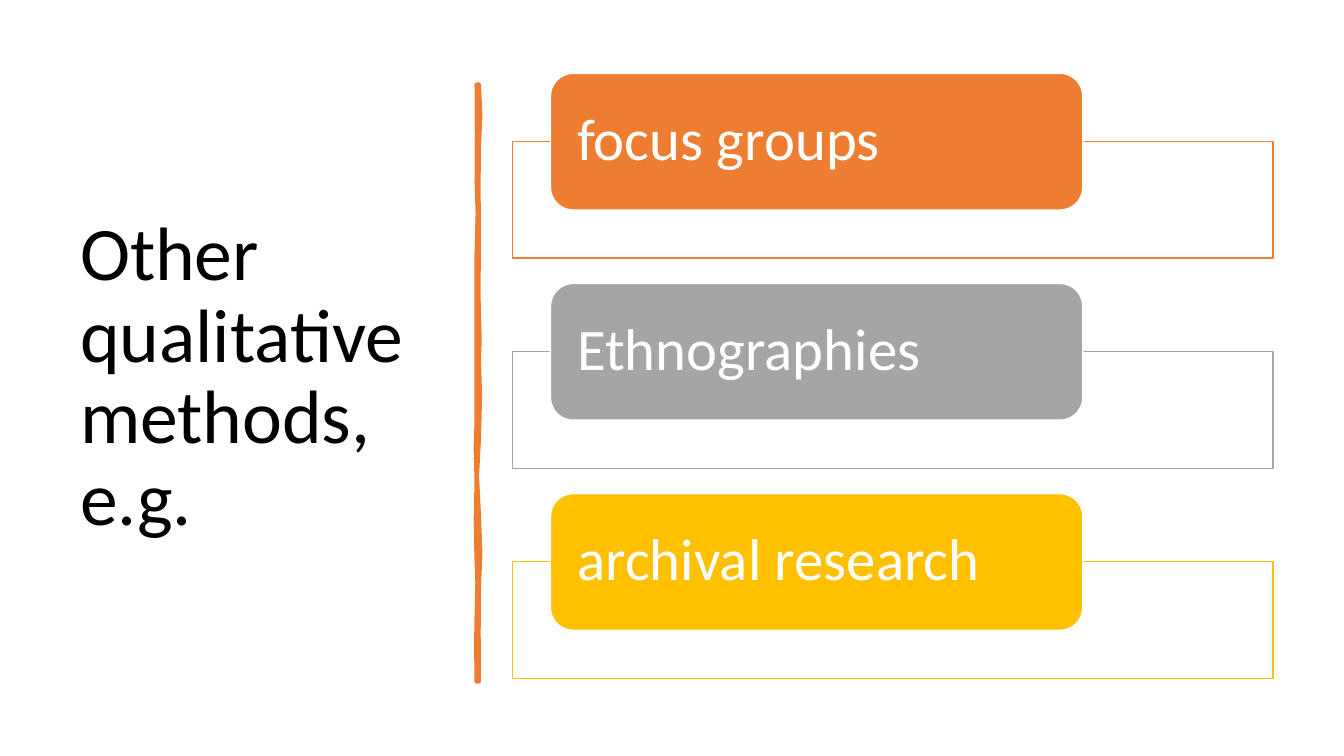
from dataclasses import dataclass

from lxml import etree
from pptx import Presentation
from pptx import util as u
from pptx.dml.color import RGBColor
from pptx.enum import shapes, text
from pptx.oxml import ns
from pptx.shapes.autoshape import Shape
from pptx.slide import Slide
from pptx.text.text import TextFrame

ORANGE = RGBColor(0xED, 0x7D, 0x31)
GRAY = RGBColor(0xA5, 0xA5, 0xA5)
GOLD = RGBColor(0xFF, 0xC0, 0x00)
WHITE = RGBColor(0xFF, 0xFF, 0xFF)
BLACK = RGBColor(0x00, 0x00, 0x00)

FONT = "Calibri"
FIRST_TAB_TOP = 52.4
ROW_PITCH = 150.1
FRAME_DROP = 48.5


@dataclass(frozen=True)
class Method:
    label: str
    color: RGBColor


@dataclass(frozen=True)
class Box:
    left: float
    top: float
    width: float
    height: float

    def lengths(self) -> tuple[u.Length, ...]:
        return u.Pt(self.left), u.Pt(self.top), u.Pt(self.width), u.Pt(self.height)


@dataclass(frozen=True)
class Point:
    x: float
    y: float

    def lengths(self) -> tuple[u.Length, u.Length]:
        return u.Pt(self.x), u.Pt(self.y)


METHODS = (
    Method("focus groups", ORANGE),
    Method("Ethnographies", GRAY),
    Method("archival research", GOLD),
)

DIVIDER_OUTLINE = (
    Point(342, 60.5),
    Point(343, 82),
    Point(342, 105.1),
    Point(341.7, 133),
    Point(342, 162.7),
    Point(341.7, 211.7),
    Point(342.5, 243),
    Point(342, 256.3),
    Point(342.8, 283),
    Point(342, 313.9),
    Point(340.6, 340),
    Point(342, 367.2),
    Point(343, 395),
    Point(342, 420.5),
    Point(341.8, 452),
    Point(342, 486.7),
    Point(340.6, 486.7),
    Point(340.3, 459),
    Point(340.6, 441.4),
    Point(341.2, 416),
    Point(340.6, 401),
    Point(340, 373),
    Point(340.6, 343.4),
    Point(340, 321),
    Point(340.6, 298.8),
    Point(340.6, 241.2),
    Point(340.6, 180),
    Point(341.4, 152),
    Point(340.6, 130.3),
    Point(340.8, 96),
    Point(340.6, 60.5),
)


def write(frame: TextFrame, words: str, size: float, color: RGBColor) -> None:
    frame.word_wrap = True
    frame.vertical_anchor = text.MSO_ANCHOR.MIDDLE
    paragraph = frame.paragraphs[0]
    paragraph.alignment = text.PP_ALIGN.LEFT
    paragraph.line_spacing = 0.9
    run = paragraph.add_run()
    run.text = words
    run.font.name = FONT
    run.font.size = u.Pt(size)
    run.font.color.rgb = color


def style(shape: Shape, fill: RGBColor, line: RGBColor, width: float) -> None:
    shape.shadow.inherit = False
    shape.fill.solid()
    shape.fill.fore_color.rgb = fill
    shape.line.color.rgb = line
    shape.line.width = u.Pt(width)


def set_opacity(shape: Shape, percent: int) -> None:
    color = shape._element.spPr.find(ns.qn("a:solidFill")).find(ns.qn("a:srgbClr"))
    etree.SubElement(color, ns.qn("a:alpha")).set("val", str(percent * 1000))


def add_title(slide: Slide) -> None:
    title = slide.shapes.add_textbox(*Box(50.1, 50.4, 269.3, 440).lengths())
    write(title.text_frame, "Other qualitative methods, e.g.", 54, BLACK)


def add_divider(slide: Slide) -> None:
    start, *others = DIVIDER_OUTLINE
    builder = slide.shapes.build_freeform(*start.lengths())
    builder.add_line_segments([point.lengths() for point in others], close=True)
    style(builder.convert_to_shape(), ORANGE, ORANGE, 3.25)


def add_method(slide: Slide, method: Method, tab_top: float) -> None:
    frame_box = Box(366.1, tab_top + FRAME_DROP, 543.3, 83.5)
    frame = slide.shapes.add_shape(shapes.MSO_SHAPE.RECTANGLE, *frame_box.lengths())
    style(frame, WHITE, method.color, 1)
    set_opacity(frame, 90)

    tab_box = Box(393.2, tab_top, 380.2, 97.6)
    tab = slide.shapes.add_shape(shapes.MSO_SHAPE.ROUNDED_RECTANGLE, *tab_box.lengths())
    style(tab, method.color, WHITE, 1)
    label = tab.text_frame
    label.margin_left = label.margin_right = u.Pt(14.4)
    label.margin_top = label.margin_bottom = u.Pt(0)
    write(label, method.label, 42, WHITE)


def main() -> None:
    presentation = Presentation()
    presentation.slide_width = u.Pt(960)
    presentation.slide_height = u.Pt(540)
    slide = presentation.slides.add_slide(presentation.slide_layouts[6])
    add_title(slide)
    add_divider(slide)
    for row, method in enumerate(METHODS):
        add_method(slide, method, FIRST_TAB_TOP + row * ROW_PITCH)
    presentation.save("out.pptx")


if __name__ == "__main__":
    main()
